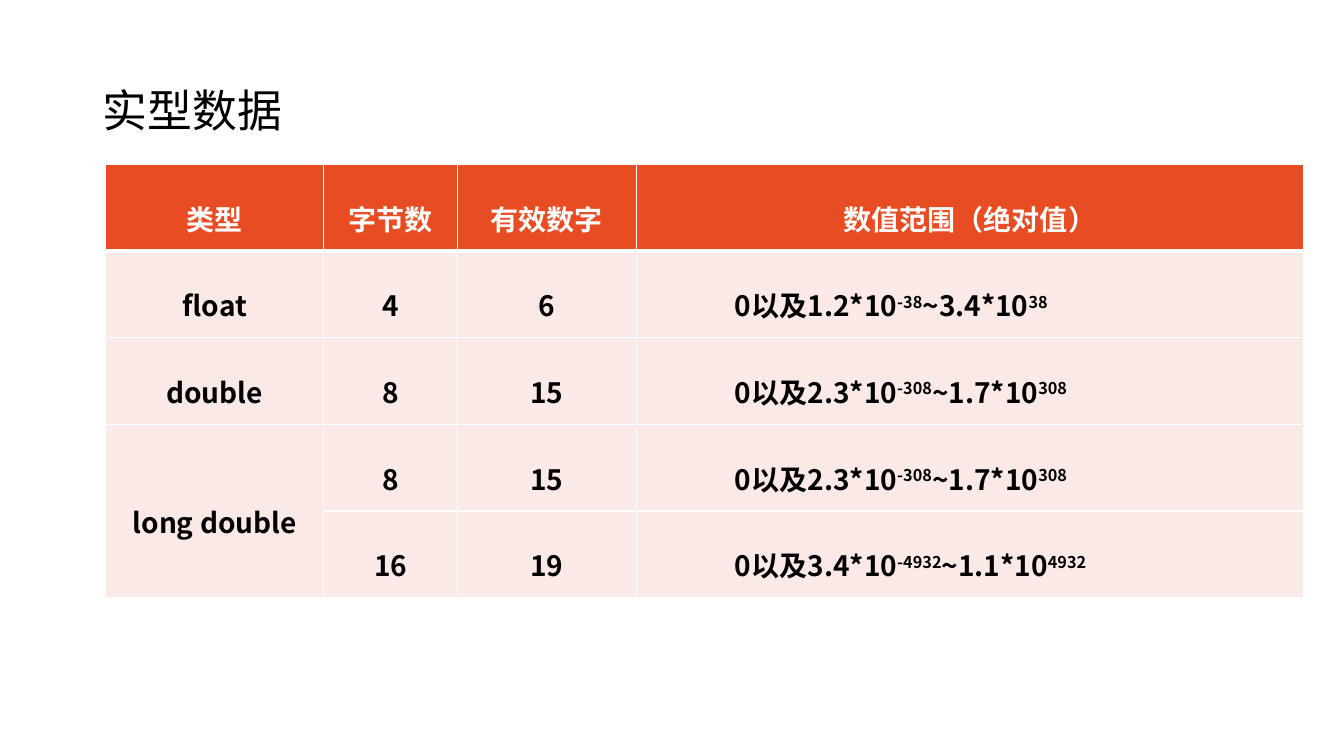
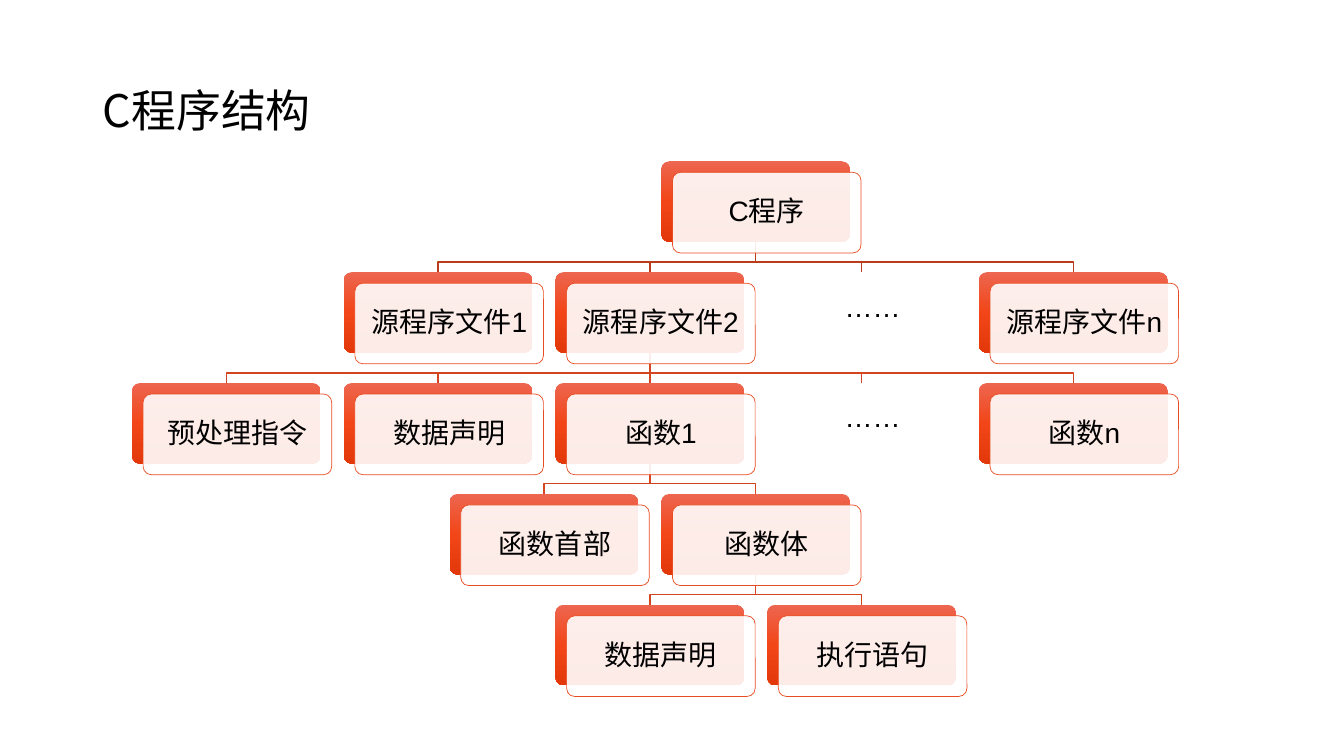
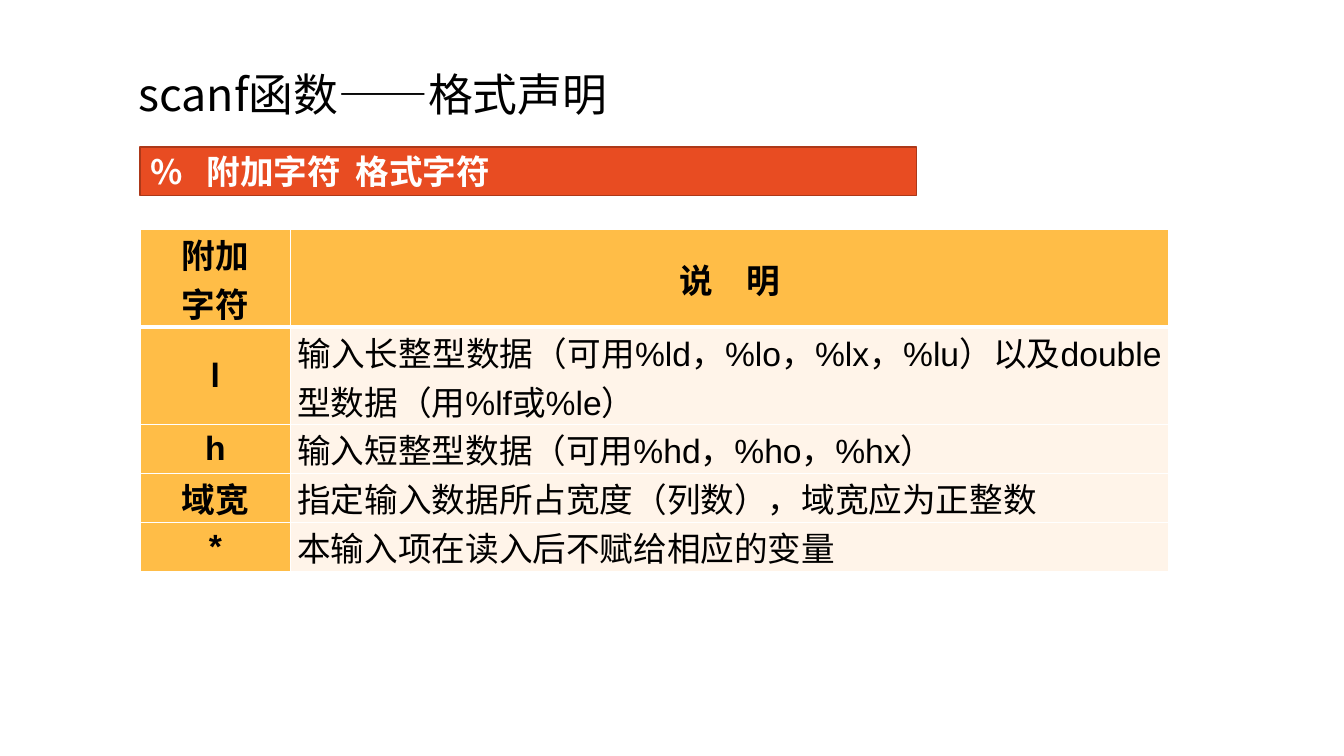
from lxml.etree import SubElement
from pptx import Presentation
from pptx.dml.color import RGBColor
from pptx.enum.shapes import MSO_CONNECTOR, MSO_SHAPE
from pptx.enum.text import MSO_ANCHOR, PP_ALIGN
from pptx.oxml import parse_xml
from pptx.oxml.ns import nsdecls, qn
from pptx.util import Inches, Pt

SANS, ARIAL = "Noto Sans CJK SC", "Arial"
BLACK, WHITE, ORANGE, DARK_ORANGE = "000000", "FFFFFF", "E84C22", "AC3819"
PALE_PINK, AMBER, CREAM = "FBE9E8", "FFBD47", "FFF4E9"
CARD_GRADIENT = [(0, "ED6650"), (50, "F24618"), (100, "E2380A")]
TOP_LINK, LINK = "BA3D1B", "D3451F"
CENTER, LEFT, JUSTIFY = PP_ALIGN.CENTER, PP_ALIGN.LEFT, PP_ALIGN.JUSTIFY

# In the range column every second part is an exponent.
REAL_COLUMNS = [2.16, 1.33, 1.77, 6.62]
REAL_TYPES = [
    ["类型", "字节数", "有效数字", "数值范围（绝对值）"],
    ["float", "4", "6", ("0以及1.2*10", "-38", "~3.4*10", "38")],
    ["double", "8", "15", ("0以及2.3*10", "-308", "~1.7*10", "308")],
    ["long double", "8", "15", ("0以及2.3*10", "-308", "~1.7*10", "308")],
    ["", "16", "19", ("0以及3.4*10", "-4932", "~1.1*10", "4932")],
]

# Each level: column of the parent, then (column, label) of its children.
DOTS = "……"
PROGRAM_TREE = [
    (None, [(2.5, "C程序")]),
    (2.5, [(1, "源程序文件1"), (2, "源程序文件2"), (3, DOTS), (4, "源程序文件n")]),
    (2, [(0, "预处理指令"), (1, "数据声明"), (2, "函数1"), (3, DOTS), (4, "函数n")]),
    (2, [(1.5, "函数首部"), (2.5, "函数体")]),
    (2.5, [(2, "数据声明"), (3, "执行语句")]),
]
TREE_LEFT, TREE_TOP, COLUMN_STEP, LEVEL_STEP = 1.31, 1.6, 2.1, 1.1
CARD_WIDTH, CARD_HEIGHT, DOTS_HEIGHT, CARD_SHIFT = 1.87, 0.8, 0.49, 0.11

SCANF_COLUMNS = [1.49, 8.71]
SCANF_MODIFIERS = [
    ["附加\n字符", "说　明"],
    ["l", "输入长整型数据（可用%ld，%lo，%lx，%lu）以及double型数据（用%lf或%le）"],
    ["h", "输入短整型数据（可用%hd，%ho，%hx）"],
    ["域宽", "指定输入数据所占宽度（列数），域宽应为正整数"],
    ["*", "本输入项在读入后不赋给相应的变量"],
]


def rgb(value):
    return RGBColor.from_string(value)


def format_text(frame, size, font, color=BLACK, bold=False, align=LEFT, spacing=1.0):
    frame.word_wrap = True
    for para in frame.paragraphs:
        para.alignment = align
        para.line_spacing = spacing
        for span in para.runs:
            span.font.size = Pt(size)
            span.font.name = font
            span.font.bold = bold
            span.font.color.rgb = rgb(color)
            SubElement(span.font._element, qn("a:ea"), typeface=SANS)


def add_page(deck, title, at=(0.92, 0.4, 11.5, 1.45)):
    page = deck.slides.add_slide(deck.slide_layouts[5])
    box = page.shapes.title
    box.left, box.top, box.width, box.height = map(Inches, at)
    box.text_frame.text = title
    box.text_frame.vertical_anchor = MSO_ANCHOR.MIDDLE
    format_text(box.text_frame, 32, SANS, spacing=0.9)
    return page


def add_grid(page, left, top, columns, row_height, row_count):
    table = page.shapes.add_table(
        row_count, len(columns), Inches(left), Inches(top),
        Inches(sum(columns)), Inches(row_height * row_count)).table
    for column, width in zip(table.columns, columns):
        column.width = Inches(width)
    return table


def paint_cell(cell, row, fill, margins):
    """Fill the cell and rule it in white, thick under the heading row."""
    cell.fill.solid()
    cell.fill.fore_color.rgb = rgb(fill)
    cell.vertical_anchor = MSO_ANCHOR.MIDDLE
    cell.margin_left = cell.margin_right = Inches(margins[0])
    cell.margin_top = cell.margin_bottom = Inches(margins[1])
    widths = {"L": 1, "R": 1, "T": 3 if row == 1 else 1, "B": 3 if row == 0 else 1}
    for index, (side, width) in enumerate(widths.items()):
        cell._tc.get_or_add_tcPr().insert(index, parse_xml(
            f'<a:ln{side} {nsdecls("a")} w="{Pt(width)}"><a:solidFill>'
            f'<a:srgbClr val="{WHITE}"/></a:solidFill></a:ln{side}>'))


def add_real_types(deck):
    page = add_page(deck, "实型数据")
    table = add_grid(page, 1.05, 1.63, REAL_COLUMNS, 0.86, len(REAL_TYPES))
    for row, values in enumerate(REAL_TYPES):
        for column, value in enumerate(values):
            cell = table.cell(row, column)
            is_range = isinstance(value, tuple)
            paint_cell(cell, row, PALE_PINK if row else ORANGE,
                       (0.98 if is_range else 0.1, 0.05))
            para = cell.text_frame.paragraphs[0]
            for index, part in enumerate(value if is_range else [value] if value else []):
                span = para.add_run()
                span.text = part
                if index % 2:
                    span.font._element.set("baseline", "30000")
            format_text(cell.text_frame, 20, SANS, BLACK if row else WHITE, True,
                        JUSTIFY if is_range else CENTER, 1.5)
    table.cell(3, 0).merge(table.cell(4, 0))


def add_link(page, parent, column, level):
    """Draw the line from a parent card down to the child in the given column."""
    start_x, end_x = (Inches(TREE_LEFT + COLUMN_STEP * place + CARD_WIDTH / 2)
                      for place in (parent, column))
    child_top = TREE_TOP + LEVEL_STEP * level
    start_y, turn_y, end_y = map(Inches, (child_top - 0.3, child_top - 0.1, child_top))
    if parent == column:
        link = page.shapes.add_connector(
            MSO_CONNECTOR.STRAIGHT, start_x, start_y, end_x, end_y)
        SubElement(link._element.spPr, qn("a:effectLst"))
    else:
        outline = page.shapes.build_freeform(start_x, start_y)
        outline.add_line_segments(
            [(start_x, turn_y), (end_x, turn_y), (end_x, end_y)], close=False)
        link = outline.convert_to_shape()
        link.fill.background()
        link.shadow.inherit = False
    link.line.color.rgb = rgb(TOP_LINK if level == 1 else LINK)
    link.line.width = Pt(1)


def add_rounded(page, left, top, height):
    card = page.shapes.add_shape(
        MSO_SHAPE.ROUNDED_RECTANGLE, Inches(left), Inches(top),
        Inches(CARD_WIDTH), Inches(height))
    card.adjustments[0] = 0.1
    card.shadow.inherit = False
    card.line.fill.background()
    return card


def add_card(page, column, level, label):
    left = TREE_LEFT + COLUMN_STEP * column
    top = TREE_TOP + LEVEL_STEP * level
    is_dots = label == DOTS
    height = DOTS_HEIGHT if is_dots else CARD_HEIGHT
    if not is_dots:
        back = add_rounded(page, left, top, height)
        back.fill.gradient()
        back.fill.gradient_angle = 270
        stops = back._element.spPr.find(".//" + qn("a:gsLst"))
        for stop in list(stops):
            stops.remove(stop)
        for position, color in CARD_GRADIENT:
            stop = SubElement(stops, qn("a:gs"), pos=str(position * 1000))
            SubElement(stop, qn("a:srgbClr"), val=color)
    front = add_rounded(page, left + CARD_SHIFT, top + CARD_SHIFT, height)
    front.fill.solid()
    front.fill.fore_color.rgb = rgb(WHITE)
    white = front._element.spPr.find(qn("a:solidFill")).find(qn("a:srgbClr"))
    SubElement(white, qn("a:alpha"), val="90000")
    if not is_dots:
        front.line.color.rgb = rgb(ORANGE)
        front.line.width = Pt(0.5)
    frame = front.text_frame
    frame.text = label
    frame.margin_left = frame.margin_right = Inches(0.08)
    frame.margin_top = frame.margin_bottom = Inches(0.08)
    frame.vertical_anchor = MSO_ANCHOR.MIDDLE
    format_text(frame, 20, ARIAL, align=CENTER, spacing=0.9)


def add_program_tree(deck):
    page = add_page(deck, "C程序结构")
    for level, (parent, children) in enumerate(PROGRAM_TREE):
        if parent is not None:
            for column, _ in children:
                add_link(page, parent, column, level)
    for level, (_, children) in enumerate(PROGRAM_TREE):
        for column, label in children:
            add_card(page, column, level, label)


def add_scanf_formats(deck):
    page = add_page(deck, "scanf函数——格式声明", (1.27, 0.24, 6.48, 1.45))
    band = page.shapes.add_shape(
        MSO_SHAPE.RECTANGLE, Inches(1.39), Inches(1.46), Inches(7.7), Inches(0.48))
    band.shadow.inherit = False
    band.fill.solid()
    band.fill.fore_color.rgb = rgb(ORANGE)
    band.line.color.rgb = rgb(DARK_ORANGE)
    band.line.width = Pt(1)
    band.text_frame.text = "%\t附加字符\t格式字符"
    band.text_frame.vertical_anchor = MSO_ANCHOR.MIDDLE
    format_text(band.text_frame, 24, SANS, WHITE, True)
    tabs = SubElement(band.text_frame.paragraphs[0]._p.get_or_add_pPr(), qn("a:tabLst"))
    for position in (0.56, 2.04):
        SubElement(tabs, qn("a:tab"), pos=str(Inches(position)), algn="l")

    table = add_grid(page, 1.39, 2.28, SCANF_COLUMNS, 0.39, len(SCANF_MODIFIERS))
    for row, values in enumerate(SCANF_MODIFIERS):
        for column, value in enumerate(values):
            cell = table.cell(row, column)
            is_head = row == 0 or column == 0
            paint_cell(cell, row, AMBER if is_head else CREAM, (0.07, 0))
            cell.text_frame.text = value
            format_text(cell.text_frame, 24, ARIAL, bold=is_head,
                        align=CENTER if is_head else JUSTIFY)


def main():
    deck = Presentation()
    deck.slide_width, deck.slide_height = Inches(13.33), Inches(7.5)
    add_real_types(deck)
    add_program_tree(deck)
    add_scanf_formats(deck)
    deck.save("out.pptx")


if __name__ == "__main__":
    main()
